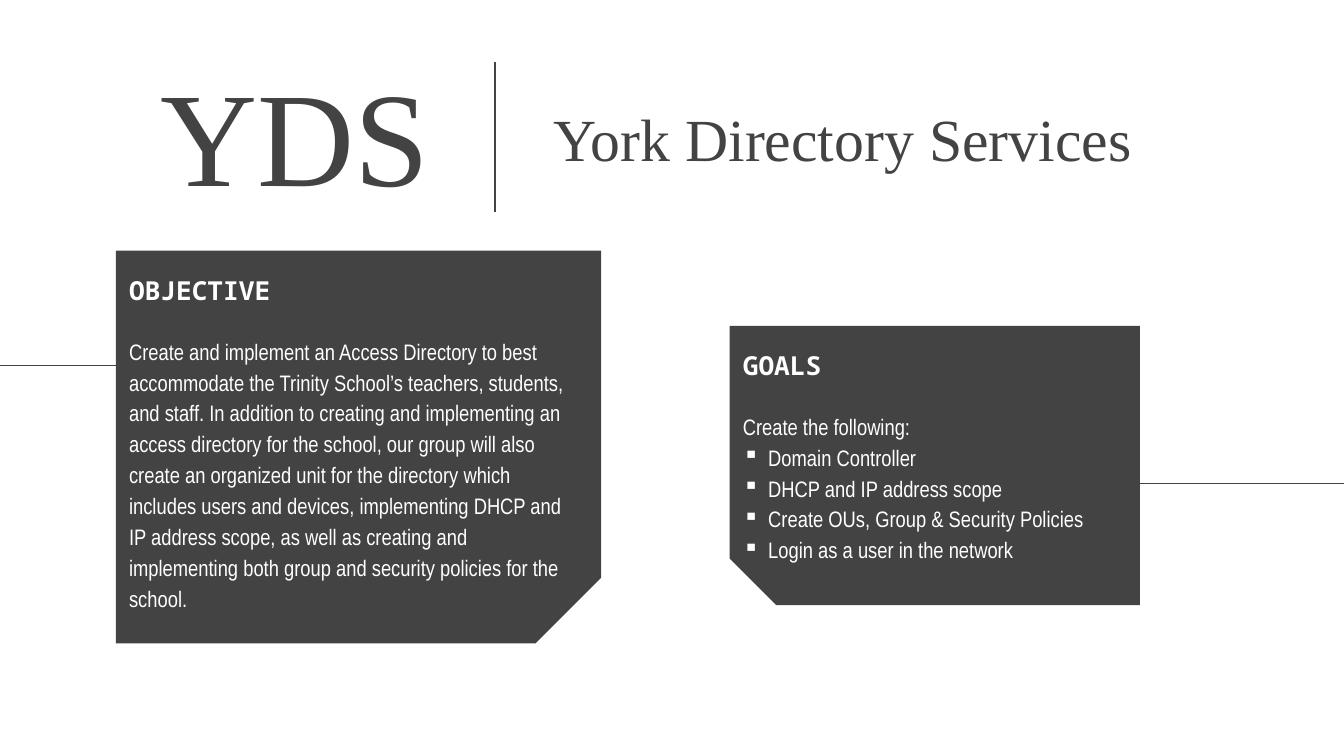
from lxml.etree import SubElement
from pptx import Presentation
from pptx.dml.color import RGBColor
from pptx.enum.shapes import MSO_CONNECTOR, MSO_SHAPE
from pptx.enum.text import MSO_ANCHOR as ANCHOR, MSO_AUTO_SIZE, PP_ALIGN as ALIGN
from pptx.oxml.ns import qn
from pptx.util import Cm, Pt

WIDTH, HEIGHT = 25.4, 14.29
DARK, WHITE = "434343", "FFFFFF"
INSET, HEAD_TOP, HEAD_HEIGHT, BODY_TOP, BODY_MARGIN = 0.25, 0.17, 1.16, 1.32, 0.23
INDENT = 0.48

TITLE_STYLE = {"name": "Times New Roman", "size": Pt(32), "bold": False}
ACRONYM_STYLE = {"name": "Times New Roman", "size": Pt(72)}
HEAD_STYLE = {"name": "Noto Sans Mono", "size": Pt(14), "bold": True}
BODY_STYLE = {"name": "Arial Narrow", "size": Pt(12)}

TITLE = "York Directory Services"
ACRONYM = "YDS"
PANELS = [
    {
        "head": "OBJECTIVE",
        "intro": "Create and implement an Access Directory to best accommodate the Trinity "
                 "School’s teachers, students, and staff. In addition to creating and "
                 "implementing an access directory for the school, our group will also create "
                 "an organized unit for the directory which includes users and devices, "
                 "implementing DHCP and IP address scope, as well as creating and "
                 "implementing both group and security policies for the school.",
        "bullets": [],
        "box": (2.19, 4.74, 9.17, 7.42),
        "rotation": 90,
        "line": (0, 6.91, 2.19, 6.91),
    },
    {
        "head": "GOALS",
        "intro": "Create the following:",
        "bullets": ["Domain Controller", "DHCP and IP address scope",
                    "Create OUs, Group & Security Policies", "Login as a user in the network"],
        "box": (13.79, 6.16, 7.75, 5.28),
        "rotation": 180,
        "line": (21.54, 9.14, WIDTH, 9.14),
    },
]


def color(hex_text):
    return RGBColor.from_string(hex_text)


def set_format(target, values):
    for name, value in values.items():
        setattr(target, name, value)


def fill_text(sp, lines, style, ink, frame=None, paragraph=None, bullets_from=None):
    tf = sp.text_frame
    set_format(tf, {"word_wrap": True, "auto_size": MSO_AUTO_SIZE.NONE,
                    "margin_left": Cm(INSET), "margin_right": Cm(INSET),
                    "margin_top": Cm(INSET), "margin_bottom": Cm(INSET), **(frame or {})})
    for i, line in enumerate(lines):
        p = tf.paragraphs[0] if i == 0 else tf.add_paragraph()
        set_format(p, paragraph or {})
        if bullets_from is not None and i >= bullets_from:
            add_bullet(p)
        r = p.add_run()
        r.text = line
        set_format(r.font, style)
        r.font.color.rgb = color(ink)


def add_bullet(p):
    ppr = p._p.get_or_add_pPr()
    ppr.set("marL", str(Cm(INDENT)))
    ppr.set("indent", str(-Cm(INDENT)))
    SubElement(SubElement(ppr, qn("a:buClr")), qn("a:srgbClr"), val=WHITE)
    SubElement(ppr, qn("a:buChar"), char="▪")


def add_text(s, box, *args, **options):
    fill_text(s.shapes.add_textbox(*map(Cm, box)), *args, **options)


def add_line(s, ends, width):
    line = s.shapes.add_connector(MSO_CONNECTOR.STRAIGHT, *map(Cm, ends))
    line.line.color.rgb = color(DARK)
    line.line.width = Pt(width)
    SubElement(line._element.spPr, qn("a:effectLst"))


def add_panel(s, panel):
    left, top, width, height = panel["box"]
    w, h = (height, width) if panel["rotation"] == 90 else (width, height)
    sp = s.shapes.add_shape(MSO_SHAPE.SNIP_1_RECTANGLE, Cm(left + (width - w) / 2),
                            Cm(top + (height - h) / 2), Cm(w), Cm(h))
    sp.rotation = panel["rotation"]
    sp.shadow.inherit = False
    sp.fill.solid()
    sp.fill.fore_color.rgb = color(DARK)
    sp.line.fill.background()
    add_line(s, panel["line"], 0.75)

    text_width = width - BODY_MARGIN
    add_text(s, (left, top + HEAD_TOP, text_width, HEAD_HEIGHT), [panel["head"]],
             HEAD_STYLE, WHITE, {"vertical_anchor": ANCHOR.MIDDLE})
    add_text(s, (left, top + BODY_TOP, text_width, height - BODY_TOP),
             [panel["intro"], *panel["bullets"]], BODY_STYLE, WHITE,
             paragraph={"line_spacing": 1.15}, bullets_from=1)


def main():
    """Build the York Directory Services objective and goals slide."""
    prs = Presentation()
    prs.slide_width, prs.slide_height = Cm(WIDTH), Cm(HEIGHT)
    s = prs.slides.add_slide(prs.slide_layouts[5])
    title = s.shapes.title
    set_format(title, {"left": Cm(9.35), "top": Cm(1.83), "width": Cm(13.16), "height": Cm(1.55)})
    fill_text(title, [TITLE], TITLE_STYLE, DARK, {"vertical_anchor": ANCHOR.MIDDLE},
              {"alignment": ALIGN.CENTER})
    for panel in PANELS:
        add_panel(s, panel)
    add_text(s, (2.79, 0.86, 6.07, 3.33), [ACRONYM], ACRONYM_STYLE, DARK,
             {"margin_top": Cm(0.13), "margin_bottom": Cm(0.13)})
    add_line(s, (9.35, 1.17, 9.35, 4.01), 1)
    prs.save("out.pptx")


if __name__ == "__main__":
    main()
